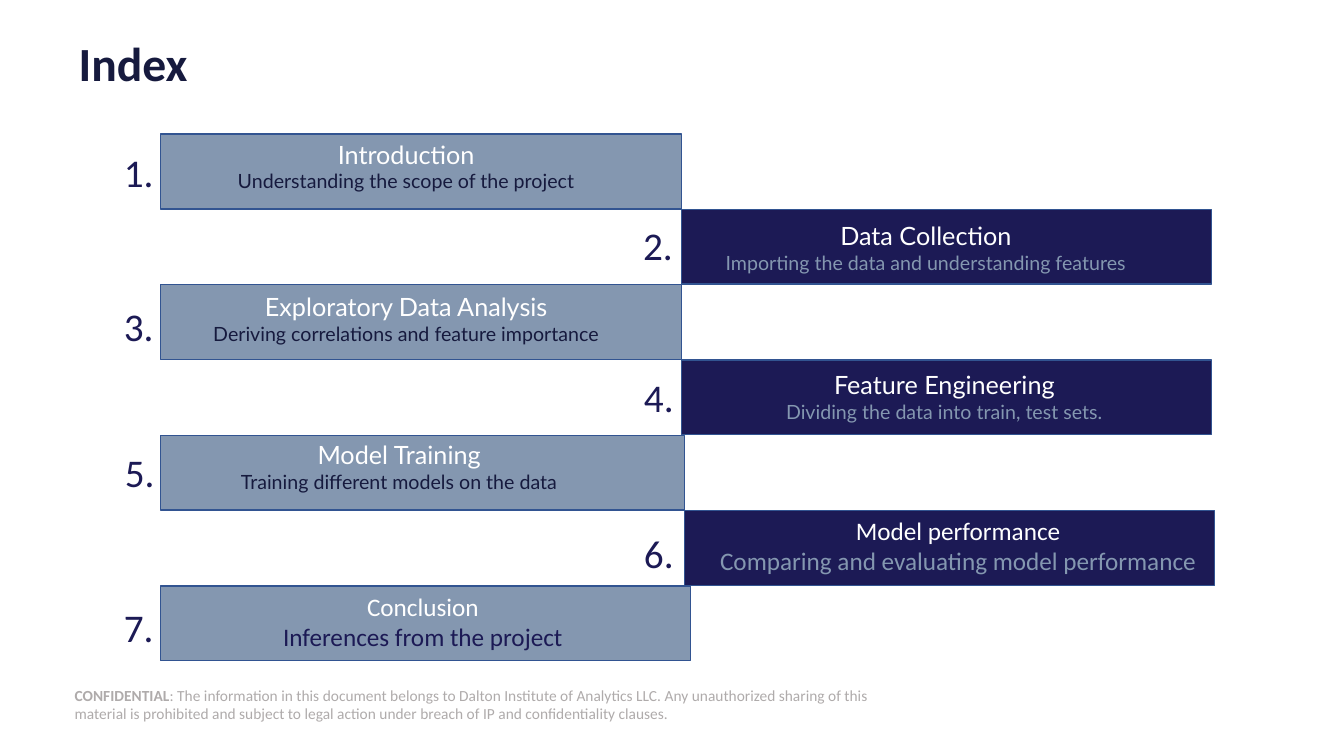
from dataclasses import dataclass

from pptx import Presentation
from pptx.dml.color import RGBColor
from pptx.enum.shapes import MSO_SHAPE
from pptx.enum.text import MSO_ANCHOR, PP_ALIGN
from pptx.slide import Slide
from pptx.text.text import TextFrame, _Run
from pptx.util import Pt

COLORS = {
    "white": "FFFFFF",
    "ink": "161A3E",
    "navy": "1C1A55",
    "slate": "8497B0",
    "outline": "325491",
    "notice": "AFABAB",
}
FIRST_TOP, ROW_PITCH, BAR_HEIGHT = 95.8, 53.8, 53.4


@dataclass(frozen=True)
class Chapter:
    heading: str
    detail: str
    bar_left: float
    bar_width: float
    bar_color: str
    caption_left: float
    caption_top: float
    caption_width: float
    number_left: float
    number_top: float
    detail_color: str
    font: str = "Lato"
    detail_size: float = 14


CHAPTERS = [
    Chapter("Introduction", "Understanding the scope of the project",
            114.5, 372.2, "slate", 90.7, 95.8, 398.9, 81.4, 102.2, "ink"),
    Chapter("Data Collection", "Importing the data and understanding features",
            486.7, 378.7, "navy", 455.8, 154.1, 411.1, 452.2, 154.8, "slate"),
    Chapter("Exploratory Data Analysis", "Deriving correlations and feature importance",
            114.5, 372.2, "slate", 90.7, 204.5, 398.9, 81.4, 212.4, "ink"),
    Chapter("Feature Engineering", "Dividing the data into train, test sets.",
            486.7, 378.7, "navy", 475.2, 260.6, 398.9, 452.9, 262.8, "slate"),
    Chapter("Model Training", "Training different models on the data",
            114.5, 374.4, "slate", 85.7, 310.3, 398.9, 82.1, 316.8, "ink"),
    Chapter("Model performance", "Comparing and evaluating model performance",
            488.9, 378.7, "navy", 503.3, 364.3, 362.2, 452.9, 374.4, "slate",
            "Calibri", 18),
    Chapter("Conclusion", "Inferences from the project",
            114.5, 378.7, "slate", 121, 419, 362.2, 81.4, 427.7, "navy",
            "Calibri", 18),
]


def rgb(name: str) -> RGBColor:
    return RGBColor.from_string(COLORS[name])


def style(run: _Run, size: float, color: str, font: str = "Calibri", bold: bool = False) -> None:
    run.font.size = Pt(size)
    run.font.color.rgb = rgb(color)
    run.font.name = font
    run.font.bold = bold


def add_text(slide: Slide, left: float, top: float, width: float, height: float,
             text: str) -> TextFrame:
    frame = slide.shapes.add_textbox(Pt(left), Pt(top), Pt(width), Pt(height)).text_frame
    frame.word_wrap = True
    frame.text = text
    return frame


def remove_insets(frame: TextFrame) -> None:
    frame.margin_left = frame.margin_right = frame.margin_top = frame.margin_bottom = 0
    frame.vertical_anchor = MSO_ANCHOR.MIDDLE


def add_chapter(slide: Slide, index: int, chapter: Chapter) -> None:
    # Bar
    bar = slide.shapes.add_shape(
        MSO_SHAPE.RECTANGLE, Pt(chapter.bar_left), Pt(FIRST_TOP + index * ROW_PITCH),
        Pt(chapter.bar_width), Pt(BAR_HEIGHT))
    bar.shadow.inherit = False
    bar.fill.solid()
    bar.fill.fore_color.rgb = rgb(chapter.bar_color)
    bar.line.color.rgb = rgb("outline")
    bar.line.width = Pt(1)

    # Heading and detail
    caption = add_text(slide, chapter.caption_left, chapter.caption_top,
                       chapter.caption_width, 46, f"{chapter.heading}\n{chapter.detail}")
    heading, detail = caption.paragraphs
    heading.alignment = detail.alignment = PP_ALIGN.CENTER
    style(heading.runs[0], 18, "white", chapter.font)
    style(detail.runs[0], chapter.detail_size, chapter.detail_color, chapter.font)

    # Number
    number = add_text(slide, chapter.number_left, chapter.number_top, 39.6, 41, f"{index + 1}.")
    style(number.paragraphs[0].runs[0], 28, "navy")


def add_notice(slide: Slide) -> None:
    notice = add_text(slide, 53.3, 488.9, 588.2, 28.8, "CONFIDENTIAL")
    remove_insets(notice)
    paragraph = notice.paragraphs[0]
    style(paragraph.runs[0], 11, "notice", bold=True)
    terms = paragraph.add_run()
    terms.text = (": The information in this document belongs to Dalton Institute of Analytics "
                  "LLC. Any unauthorized sharing of this material is prohibited and subject to "
                  "legal action under breach of IP and confidentiality clauses.")
    style(terms, 11, "notice")


def main() -> None:
    deck = Presentation()
    deck.slide_width, deck.slide_height = Pt(960), Pt(540)
    slide = deck.slides.add_slide(deck.slide_layouts[6])

    # Footer notice
    add_notice(slide)

    # Title
    title = add_text(slide, 56.2, 23, 853.2, 48.2, "Index")
    remove_insets(title)
    title.paragraphs[0].line_spacing = 0.9
    style(title.paragraphs[0].runs[0], 34, "ink", bold=True)

    # Staggered chapters
    for index, chapter in enumerate(CHAPTERS):
        add_chapter(slide, index, chapter)

    deck.save("out.pptx")


if __name__ == "__main__":
    main()
